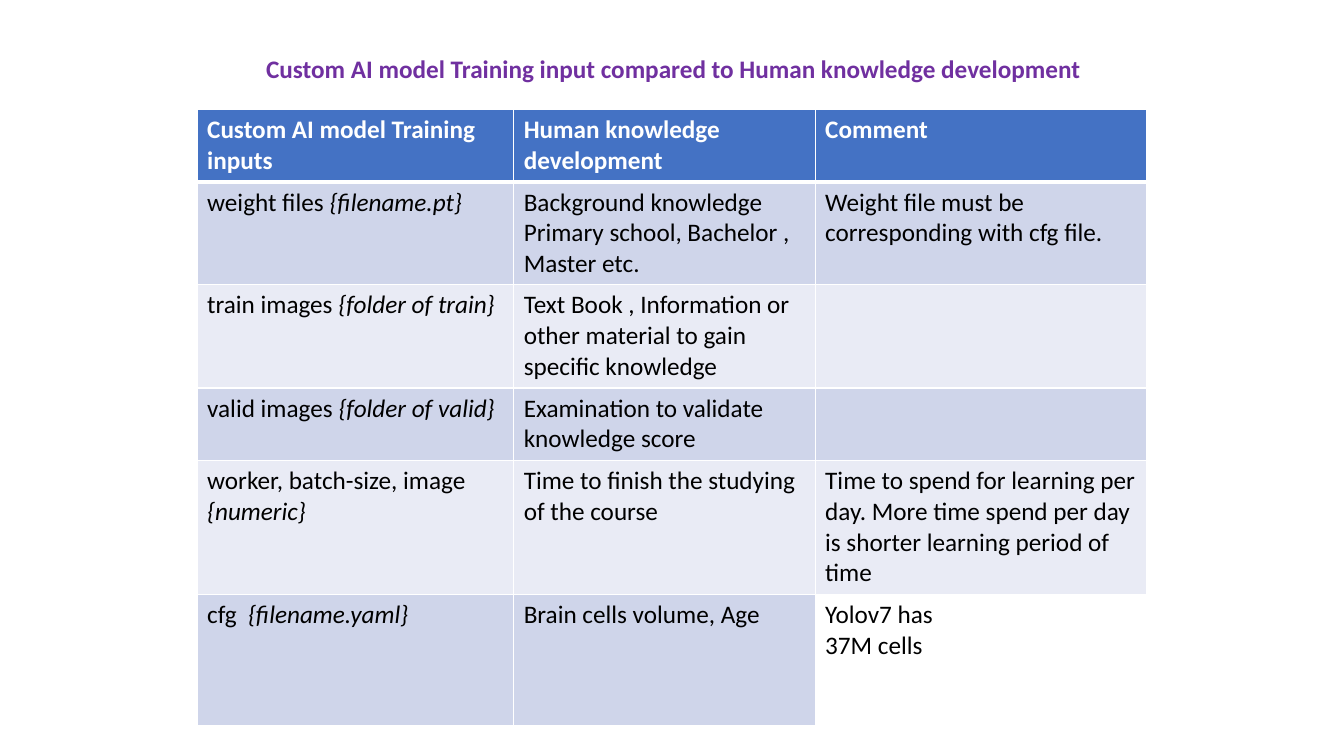
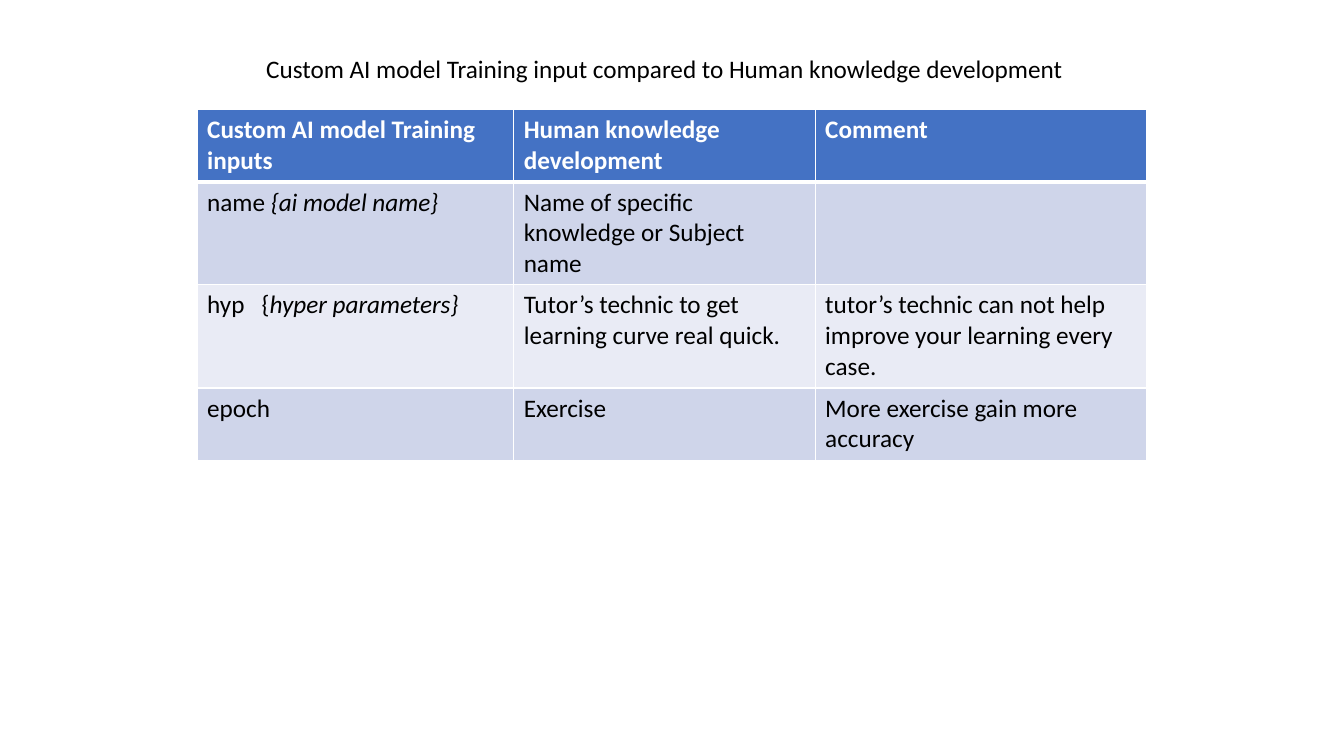
from lxml import etree
from pptx import Presentation
from pptx.dml.color import RGBColor
from pptx.enum.text import MSO_ANCHOR, MSO_AUTO_SIZE, PP_ALIGN
from pptx.oxml.ns import qn
from pptx.util import Inches, Pt

LEFT, TOP, NO_FIT = PP_ALIGN.LEFT, MSO_ANCHOR.TOP, MSO_AUTO_SIZE.NONE
FONT = "Calibri"
WHITE, BLACK, PURPLE = "FFFFFF", "000000", "7030A0"
BLUE, BANDS = "4472C4", ("CFD5EA", "E9EBF5")
TITLE = "Custom AI model Training input compared to Human knowledge development"
HEAD = ("Custom AI model Training inputs", "Human knowledge development", "Comment")

# Column and row sizes as per cent of the slide's width and height
COLS = (23.56, 22.43, 24.68)
ROWS = (9.6, 13.4, 13.7, 9.6, 17.7, 17.4)

# The part of a cell after "|" is set in italics
SLIDES = (
    (dict(color=PURPLE, bold=True), 63, (
        ("weight files |{filename.pt}",
         "Background knowledge Primary school, Bachelor , Master etc.",
         "Weight file must be corresponding with cfg file."),
        ("train images |{folder of train}",
         "Text Book , Information or other material to gain specific knowledge",
         ""),
        ("valid images |{folder of valid}",
         "Examination to validate knowledge score",
         ""),
        ("worker, batch-size, image |{numeric}",
         "Time to finish the studying of the course",
         "Time to spend for learning per day. More time spend per day is "
         "shorter learning period of time"),
        ("cfg  |{filename.yaml}",
         "Brain cells volume, Age",
         "Yolov7 has\n37M cells"),
    )),
    (dict(color=BLACK), 62, (
        ("name |{ai model name}",
         "Name of specific knowledge or Subject name",
         ""),
        ("hyp   {|hyper parameters}",
         "Tutor’s technic to get learning curve real quick.",
         "tutor’s technic can not help improve your learning every case."),
        ("epoch",
         "Exercise",
         "More exercise gain more accuracy"),
    )),
)


def write(frame, text, color=BLACK, bold=False, size=18):
    for num, line in enumerate(text.split("\n")):
        para = frame.add_paragraph() if num else frame.paragraphs[0]
        para.alignment = LEFT
        plain, _, slant = line.partition("|")
        for part, italic in ((plain, False), (slant, True)):
            if part:
                run = para.add_run()
                run.text = part
                font = run.font
                font.name, font.size = FONT, Pt(size)
                font.bold, font.italic = bold, italic
                font.color.rgb = RGBColor.from_string(color)


def edge(cell, side, width):
    """Draw one white border line; side is L, R, T or B."""
    props = cell._tc.get_or_add_tcPr()
    line = etree.SubElement(props, qn("a:ln" + side), w=str(Pt(width)))
    fill = etree.SubElement(line, qn("a:solidFill"))
    etree.SubElement(fill, qn("a:srgbClr"), val=WHITE)


deck = Presentation()
deck.slide_width, deck.slide_height = Inches(13.33), Inches(7.5)
wide, high = deck.slide_width / 100, deck.slide_height / 100

for style, span, body in SLIDES:
    slide = deck.slides.add_slide(deck.slide_layouts[5])

    title = slide.shapes.title
    title.left, title.top = int(19.05 * wide), int(6.4 * high)
    title.width, title.height = int(span * wide), int(5.4 * high)
    frame = title.text_frame
    frame.word_wrap, frame.auto_size = False, NO_FIT
    frame.vertical_anchor = TOP
    write(frame, TITLE, **style)

    data = (HEAD,) + body
    sizes = ROWS[:len(data)]
    total = sum(COLS)
    table = slide.shapes.add_table(
        len(data), len(COLS), int((100 - total) / 2 * wide), int(14.5 * high),
        int(total * wide), int(sum(sizes) * high)).table
    for col, share in zip(table.columns, COLS):
        col.width = int(share * wide)

    for r, (texts, share) in enumerate(zip(data, sizes)):
        table.rows[r].height = int(share * high)
        for c, text in enumerate(texts):
            cell = table.cell(r, c)
            for side in "LRTB":
                thick = (r, side) in ((0, "B"), (1, "T"))
                edge(cell, side, 3 if thick else 1)
            if (r, c) == (5, 2):
                cell.fill.background()
            else:
                cell.fill.solid()
                shade = BANDS[(r - 1) % 2] if r else BLUE
                cell.fill.fore_color.rgb = RGBColor.from_string(shade)
            write(cell.text_frame, text, color=BLACK if r else WHITE, bold=r == 0)

deck.save("out.pptx")
